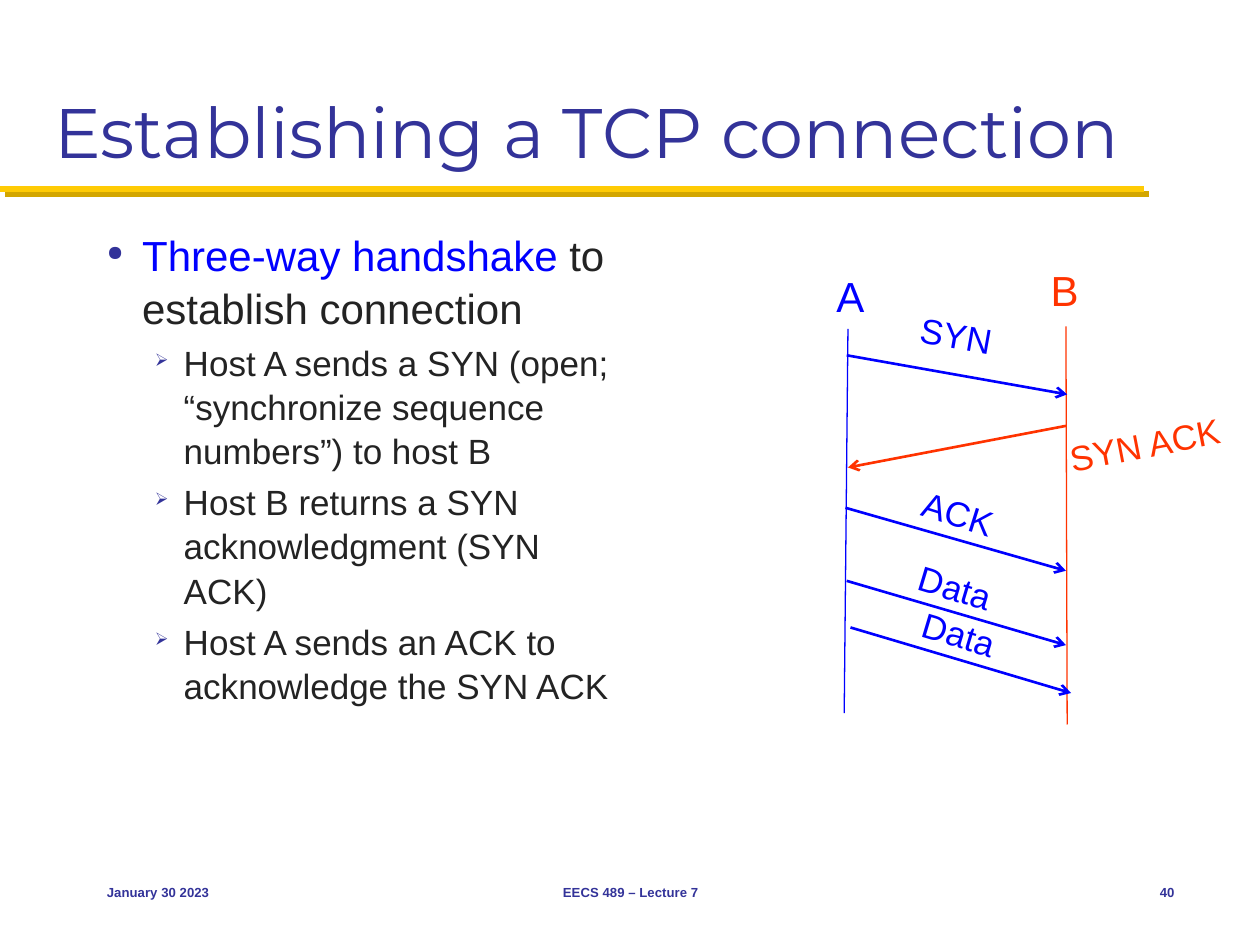
from lxml import etree
from pptx import Presentation
from pptx.dml.color import RGBColor
from pptx.enum.shapes import MSO_CONNECTOR as CONN
from pptx.enum.text import MSO_ANCHOR as ANCHOR, PP_ALIGN as ALIGN
from pptx.oxml.ns import qn
from pptx.util import Inches, Pt

NAVY = RGBColor(0x33, 0x33, 0x99)
BLUE = RGBColor(0x00, 0x00, 0xFF)
RED = RGBColor(0xFF, 0x33, 0x00)
INK = RGBColor(0x23, 0x23, 0x23)
GOLD = RGBColor(0xFF, 0xCB, 0x05)
DARK_GOLD = RGBColor(0xD3, 0xA6, 0x00)


class Deck:
    """Style and current slide."""
    font = "Arial"
    title_font = "Montserrat"

    def __init__(self):
        self.prs = Presentation()
        self.prs.slide_width, self.prs.slide_height = Inches(10), Inches(7.5)
        self.s = self.prs.slides.add_slide(self.prs.slide_layouts[5])

    def run(self, p, text, size, color, bold=False, font=None):
        r = p.add_run()
        r.text = text
        r.font.name = font or self.font
        r.font.size, r.font.bold = Pt(size), bold
        r.font.color.rgb = color

    def title(self, text, box):
        sp = self.s.shapes.title
        sp.left, sp.top, sp.width, sp.height = map(Inches, box)
        tf = sp.text_frame
        tf.word_wrap, tf.vertical_anchor = True, ANCHOR.BOTTOM
        p = tf.paragraphs[0]
        p.alignment = ALIGN.LEFT
        self.run(p, text, 40, NAVY, font=self.title_font)

    def line(self, start, end, color, width, arrow=False, shadow=None):
        cn = self.s.shapes.add_connector(
            CONN.STRAIGHT, *map(Inches, (*start, *end)))
        cn.line.color.rgb, cn.line.width = color, Pt(width)
        if arrow:
            etree.SubElement(cn.line._get_or_add_ln(), qn("a:tailEnd"),
                             type="arrow")
        effects = etree.SubElement(cn._element.spPr, qn("a:effectLst"))
        if shadow:
            sh = etree.SubElement(effects, qn("a:outerShdw"),
                                  dist=str(Pt(4.2)), dir="2700000")
            etree.SubElement(sh, qn("a:srgbClr"), val=str(shadow))

    def label(self, text, box, size, color, align=ALIGN.CENTER, rotation=0,
              bold=False, wrap=False):
        sp = self.s.shapes.add_textbox(*map(Inches, box))
        sp.rotation = rotation
        tf = sp.text_frame
        tf.word_wrap, tf.vertical_anchor = wrap, ANCHOR.MIDDLE
        p = tf.paragraphs[0]
        p.alignment = align
        self.run(p, text, size, color, bold)

    def bullets(self, items, box):
        tf = self.s.shapes.add_textbox(*map(Inches, box)).text_frame
        tf.word_wrap = True
        for i, (level, runs) in enumerate(items):
            p = tf.add_paragraph() if i else tf.paragraphs[0]
            char, left, hang, size = (("●", 0.28, 0.28, 24),
                                      ("➢", 0.61, 0.23, 20))[level]
            p.level, p.line_spacing = level, 1.05
            if i:
                p.space_before = Pt(size * 0.2)
            pPr = p._p.get_or_add_pPr()
            pPr.set("marL", str(Inches(left)))
            pPr.set("indent", str(-Inches(hang)))
            clr = etree.SubElement(pPr, qn("a:buClr"))
            etree.SubElement(clr, qn("a:srgbClr"), val=str(NAVY))
            etree.SubElement(pPr, qn("a:buSzPct"), val="50000")
            etree.SubElement(pPr, qn("a:buChar"), char=char)
            for text, color in runs:
                self.run(p, text, size, color)


def main():
    d = Deck()

    # Title and rule
    d.line((0, 1.5), (9.08, 1.5), GOLD, 3.5, shadow=DARK_GOLD)
    d.title("Establishing a TCP connection", (0.33, 0.17, 9.33, 1.25))

    # Explanation
    d.bullets([
        (0, [("Three-way handshake", BLUE),
             (" to establish connection", INK)]),
        (1, [("Host A sends a SYN (open; “synchronize sequence numbers”) "
              "to host B", INK)]),
        (1, [("Host B returns a SYN acknowledgment (SYN ACK)", INK)]),
        (1, [("Host A sends an ACK to acknowledge the SYN ACK", INK)]),
    ], (0.75, 1.75, 4.25, 4.83))

    # Host timelines
    d.line((8.46, 2.59), (8.47, 5.75), RED, 0.75)
    d.line((6.73, 2.61), (6.7, 5.66), BLUE, 0.75)
    d.label("A", (6.53, 2.1, 0.44, 0.5), 24, BLUE)
    d.label("B", (8.24, 2.05, 0.42, 0.5), 24, RED)

    # Messages: text, arrow start and end, label box, rotation, colour
    messages = [
        ("SYN", (6.72, 2.82), (8.47, 3.13), (7.2, 2.44, 0.78, 0.44), 10.1, BLUE),
        ("SYN ACK", (8.46, 3.38), (6.73, 3.71), (8.37, 3.31, 1.43, 0.43), -10.9, RED),
        ("ACK", (6.71, 4.03), (8.46, 4.53), (7.21, 3.86, 0.79, 0.43), 17.4, BLUE),
        ("Data", (6.72, 4.61), (8.46, 5.12), (7.18, 4.44, 0.8, 0.44), 16.7, BLUE),
        ("Data", (6.75, 4.98), (8.5, 5.5), (7.21, 4.81, 0.8, 0.44), 16.7, BLUE),
    ]
    for text, start, end, box, rotation, color in messages:
        d.line(start, end, color, 1.5, arrow=True)
        d.label(text, box, 20, color, rotation=rotation)

    # Footer
    for text, left, width, align in (
            ("January 30 2023", 0.75, 2.08, ALIGN.LEFT),
            ("EECS 489 – Lecture 7", 3.42, 3.17, ALIGN.CENTER),
            ("40", 8.75, 0.67, ALIGN.RIGHT)):
        d.label(text, (left, 6.83, width, 0.5), 7.5, NAVY, align,
                bold=True, wrap=True)

    d.prs.save("out.pptx")


if __name__ == "__main__":
    main()
